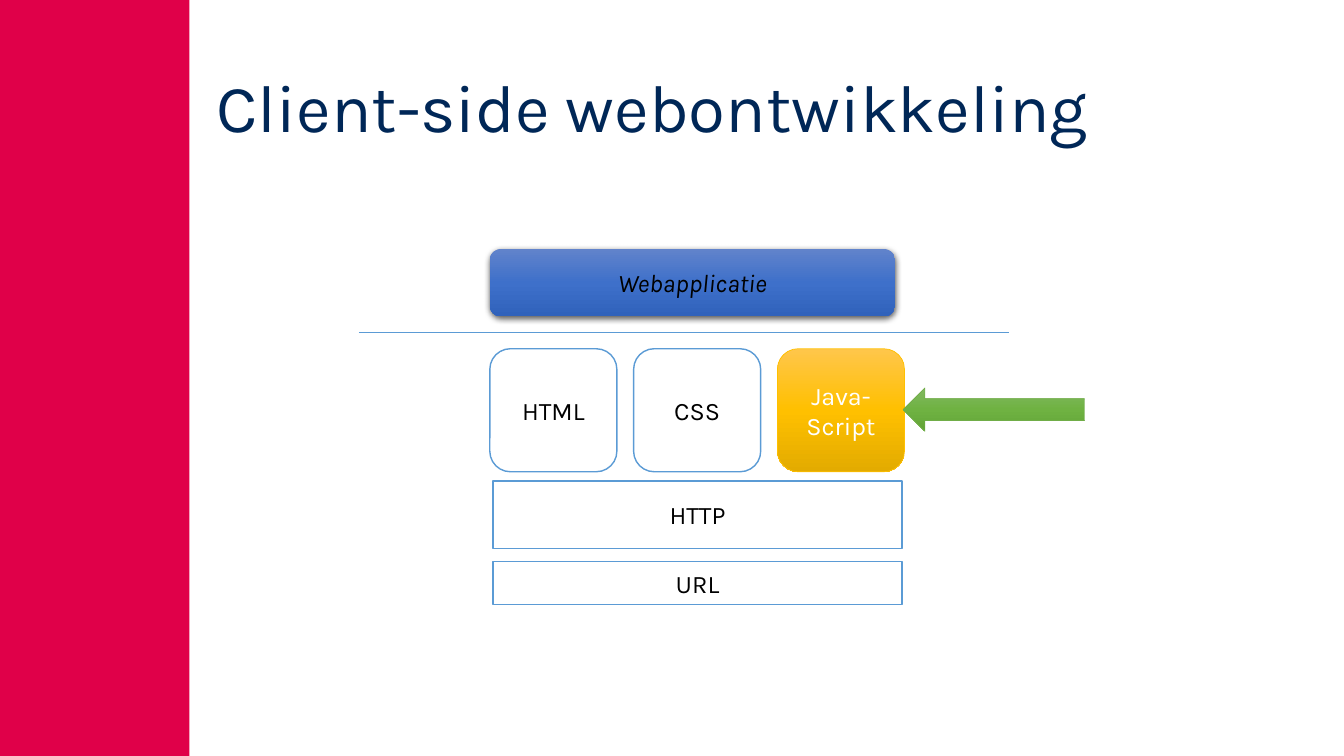
import lxml.etree
import pptx
import pptx.dml.color
import pptx.enum.shapes
import pptx.enum.text
import pptx.oxml
import pptx.oxml.ns
import pptx.util

RGBColor = pptx.dml.color.RGBColor
MSO_SHAPE = pptx.enum.shapes.MSO_SHAPE
qn = pptx.oxml.ns.qn

WIDTH = pptx.util.Inches(13.33)
HEIGHT = pptx.util.Inches(7.5)
FONT = "Karla"

WHITE = RGBColor(0xFF, 0xFF, 0xFF)
BLACK = RGBColor(0x00, 0x00, 0x00)
CRIMSON = RGBColor(0xE0, 0x00, 0x49)
NAVY = RGBColor(0x00, 0x27, 0x57)
SKY = RGBColor(0x5B, 0x9B, 0xD5)
GOLD = RGBColor(0xFF, 0xC0, 0x00)
GREEN = RGBColor(0x70, 0xAD, 0x47)
GOLD_BLEND = (RGBColor(0xFF, 0xC6, 0x4B), GOLD, RGBColor(0xE3, 0xAB, 0x00))
BLUE_BLEND = (RGBColor(0x61, 0x83, 0xCB), RGBColor(0x3E, 0x70, 0xCA), RGBColor(0x30, 0x62, 0xBB))
GREEN_BLEND = (RGBColor(0x81, 0xB8, 0x61), RGBColor(0x6F, 0xB2, 0x42), RGBColor(0x62, 0xA3, 0x36))

STACK_LEFT = 36.68
STACK_WIDTH = 30.45
TILE_LEFT = 36.45
TILE_TOP = 46.13
TILE_STEP = 10.7
TILE_SIZE = (9.45, 16.27)
LAYER_HEIGHT = 8.93


def across(percent):
    return round(WIDTH * percent / 100)


def down(percent):
    return round(HEIGHT * percent / 100)


def place(left, top, width, height):
    return across(left), down(top), across(width), down(height)


def blend(shape, colors):
    shape.fill.gradient()
    shape.fill.gradient_angle = 270
    stops = shape._element.spPr.find(qn("a:gradFill")).find(qn("a:gsLst"))
    for stop in list(stops):
        stops.remove(stop)
    for index, color in enumerate(colors):
        stop = lxml.etree.SubElement(stops, qn("a:gs"), pos=str(index * 50000))
        lxml.etree.SubElement(stop, qn("a:srgbClr"), val=str(color))


def add_block(slide, kind, box, fill, line=None, line_width=1):
    shape = slide.shapes.add_shape(kind, *place(*box))
    shape.shadow.inherit = False
    if isinstance(fill, RGBColor):
        shape.fill.solid()
        shape.fill.fore_color.rgb = fill
    else:
        blend(shape, fill)
    if line is None:
        shape.line.fill.background()
    else:
        shape.line.color.rgb = line
        shape.line.width = pptx.util.Pt(line_width)
    return shape


def write(shape, text, color=BLACK, italic=False):
    frame = shape.text_frame
    frame.word_wrap = True
    frame.vertical_anchor = pptx.enum.text.MSO_ANCHOR.MIDDLE
    frame.text = text
    for paragraph in frame.paragraphs:
        paragraph.alignment = pptx.enum.text.PP_ALIGN.CENTER
        paragraph.font.name = FONT
        paragraph.font.size = pptx.util.Pt(18)
        paragraph.font.italic = italic
        paragraph.font.color.rgb = color


def cast_shadow(shape):
    effects = shape._element.spPr.find(qn("a:effectLst"))
    shadow = lxml.etree.SubElement(
        effects, qn("a:outerShdw"), blurRad=str(pptx.util.Pt(4.5)),
        dist=str(pptx.util.Pt(1.5)), dir="5400000", algn="ctr", rotWithShape="0")
    color = lxml.etree.SubElement(shadow, qn("a:srgbClr"), val=str(BLACK))
    lxml.etree.SubElement(color, qn("a:alpha"), val="63000")


def add_divider(slide, start, end, top):
    divider = slide.shapes.add_connector(
        pptx.enum.shapes.MSO_CONNECTOR.STRAIGHT,
        across(start), down(top), across(end), down(top))
    divider.line.color.rgb = SKY
    divider.line.width = pptx.util.Pt(1)
    lxml.etree.SubElement(divider._element.spPr, qn("a:effectLst"))


def set_title(slide, text):
    title = slide.shapes.title
    title.left, title.top, title.width, title.height = place(15.38, 5.33, 81.6, 18.67)
    frame = title.text_frame
    frame.text = text
    frame.word_wrap = True
    frame.vertical_anchor = pptx.enum.text.MSO_ANCHOR.MIDDLE
    paragraph = frame.paragraphs[0]
    paragraph.alignment = pptx.enum.text.PP_ALIGN.LEFT
    paragraph.line_spacing = 0.9
    paragraph.font.name = FONT
    paragraph.font.size = pptx.util.Pt(48)
    paragraph.font.color.rgb = NAVY


def main():
    presentation = pptx.Presentation()
    presentation.slide_width = WIDTH
    presentation.slide_height = HEIGHT
    slide = presentation.slides.add_slide(presentation.slide_layouts[5])

    add_block(slide, MSO_SHAPE.RECTANGLE, (0, 0, 14.1, 100), CRIMSON)
    set_title(slide, "Client-side webontwikkeling")

    for text, top, height in (("HTTP", 63.6, LAYER_HEIGHT), ("URL", 74.27, 5.73)):
        layer = add_block(slide, MSO_SHAPE.RECTANGLE,
                          (STACK_LEFT, top, STACK_WIDTH, height), WHITE, SKY)
        write(layer, text)

    tiles = (
        ("HTML", WHITE, SKY, 1, BLACK),
        ("CSS", WHITE, SKY, 1, BLACK),
        ("Java-\nScript", GOLD_BLEND, GOLD, 0.5, WHITE),
    )
    for index, (text, fill, line, line_width, color) in enumerate(tiles):
        box = (TILE_LEFT + index * TILE_STEP, TILE_TOP, *TILE_SIZE)
        tile = add_block(slide, MSO_SHAPE.ROUNDED_RECTANGLE, box, fill, line, line_width)
        write(tile, text, color)

    application = add_block(slide, MSO_SHAPE.ROUNDED_RECTANGLE,
                            (TILE_LEFT, 32.93, 30.15, LAYER_HEIGHT), BLUE_BLEND)
    cast_shadow(application)
    write(application, "Webapplicatie", italic=True)

    add_divider(slide, 26.7, 75.08, 44)
    add_block(slide, MSO_SHAPE.LEFT_ARROW, (67.2, 51.33, 13.5, 5.73), GREEN_BLEND, GREEN, 0.5)

    presentation.save("out.pptx")


if __name__ == "__main__":
    main()
